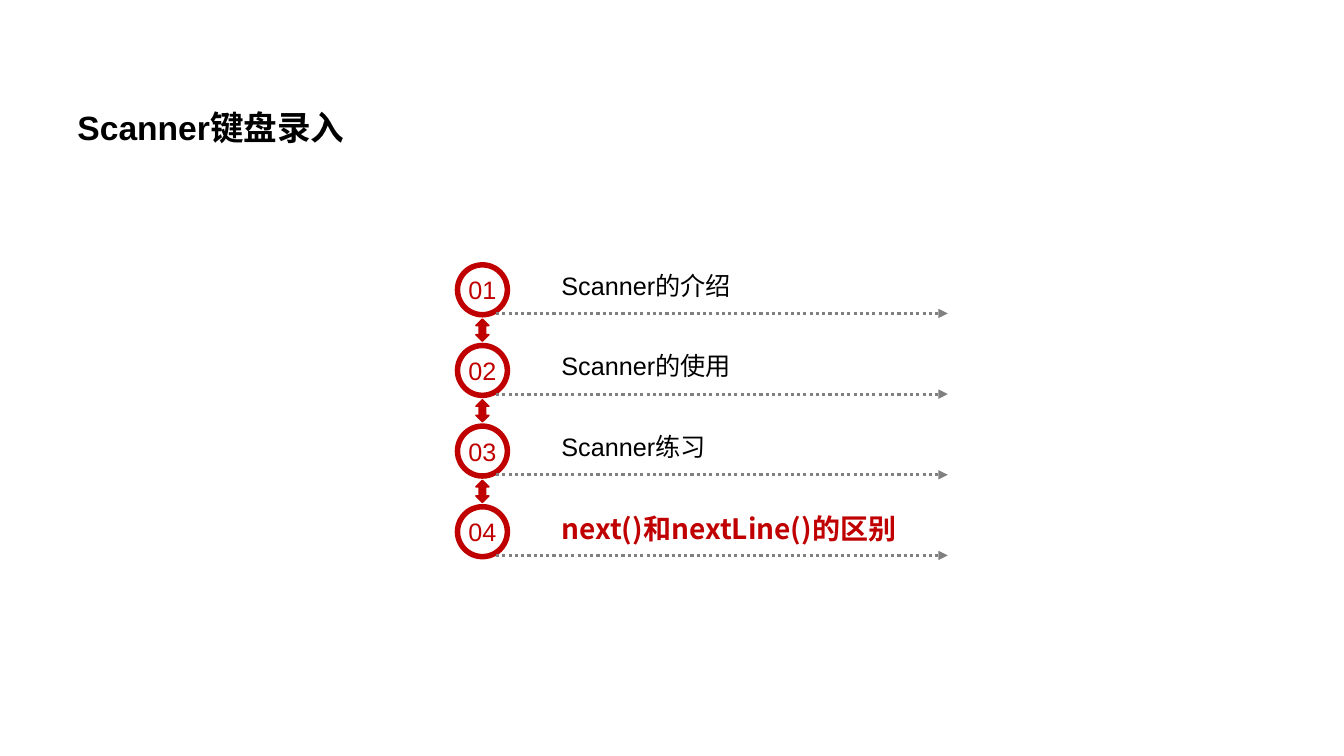
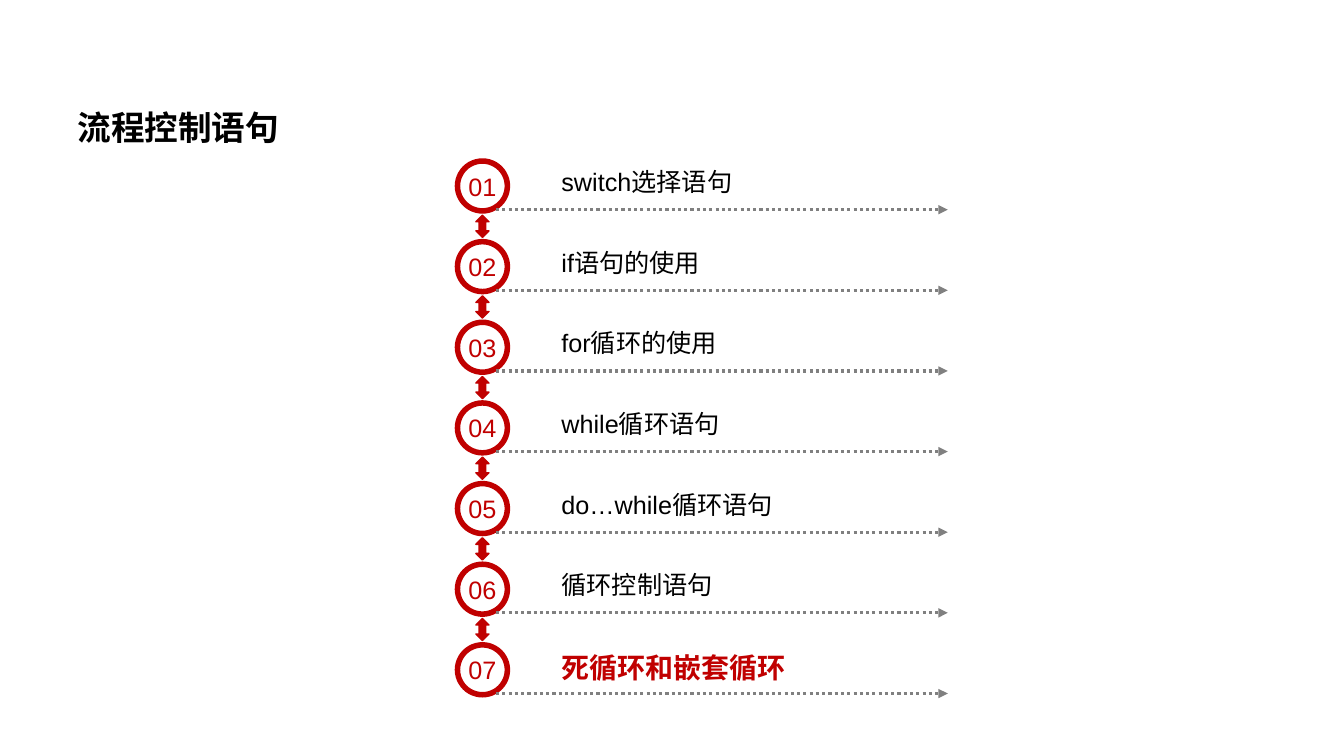
from lxml import etree
from pptx import Presentation
from pptx.dml.color import RGBColor
from pptx.enum.dml import MSO_LINE
from pptx.enum.shapes import MSO_CONNECTOR, MSO_SHAPE
from pptx.enum.text import MSO_ANCHOR, PP_ALIGN
from pptx.oxml.ns import qn
from pptx.util import Inches, Pt

RED = RGBColor(0xC0, 0x00, 0x00)
GREY = RGBColor(0x80, 0x80, 0x80)
BLACK = RGBColor(0x00, 0x00, 0x00)
LATIN_FONT = "Arial"
CHINESE_FONT = "Noto Sans CJK SC"

# Agenda grid, in inches
RING_LEFT = 4.51
RING_SIZE = 0.55
ROW_PITCH = 0.8
LABEL_LEFT = 5.47
LABEL_WIDTH = 3.96
RULE_LEFT, RULE_RIGHT = 4.92, 9.4

AGENDAS = [
    ("Scanner键盘录入", 2.6,
     ["Scanner的介绍", "Scanner的使用", "Scanner练习",
      "next()和nextLine()的区别"]),
    ("流程控制语句", 1.57,
     ["switch选择语句", "if语句的使用", "for循环的使用", "while循环语句",
      "do…while循环语句", "循环控制语句", "死循环和嵌套循环"]),
]


def write(frame, text, size, color, bold=False, font_name=LATIN_FONT):
    """Fill a text frame with one paragraph in one style."""
    paragraph = frame.paragraphs[0]
    paragraph.text = text
    font = paragraph.font
    font.size = Pt(size)
    font.bold = bold
    font.color.rgb = color
    font.name = font_name
    east_asian = etree.SubElement(paragraph._p.pPr.find(qn("a:defRPr")), qn("a:ea"))
    east_asian.set("typeface", CHINESE_FONT)
    return paragraph


def add_text(slide, left, top, width, height, text, size, color, **style):
    frame = slide.shapes.add_textbox(
        Inches(left), Inches(top), Inches(width), Inches(height)).text_frame
    frame.word_wrap = True
    write(frame, text, size, color, **style)
    return frame


def add_red_shape(slide, preset, left, top, width, height):
    shape = slide.shapes.add_shape(
        preset, Inches(left), Inches(top), Inches(width), Inches(height))
    shape.shadow.inherit = False
    shape.fill.solid()
    shape.fill.fore_color.rgb = RED
    return shape


def add_title(slide, title):
    frame = add_text(slide, 0.67, 1, 11.74, 0.52, title, 24, BLACK, bold=True)
    frame.vertical_anchor = MSO_ANCHOR.MIDDLE


def add_number_ring(slide, top, number):
    ring = add_red_shape(slide, MSO_SHAPE.DONUT, RING_LEFT, top, RING_SIZE, RING_SIZE)
    ring.adjustments[0] = 0.1
    ring.line.fill.background()
    frame = ring.text_frame
    frame.margin_left = frame.margin_right = 0
    frame.margin_top = frame.margin_bottom = 0
    frame.vertical_anchor = MSO_ANCHOR.MIDDLE
    frame.word_wrap = False
    write(frame, f"{number:02d}", 18, RED).alignment = PP_ALIGN.CENTER


def add_link_arrow(slide, ring_top):
    """Place a double arrow in the gap below a ring."""
    width, height = 0.13, 0.22
    arrow = add_red_shape(
        slide, MSO_SHAPE.UP_DOWN_ARROW, RING_LEFT + (RING_SIZE - width) / 2,
        ring_top + (RING_SIZE + ROW_PITCH - height) / 2, width, height)
    arrow.line.color.rgb = RED
    arrow.line.width = Pt(1)


def add_dotted_rule(slide, y):
    rule = slide.shapes.add_connector(
        MSO_CONNECTOR.STRAIGHT, Inches(RULE_LEFT), Inches(y), Inches(RULE_RIGHT), Inches(y))
    rule.line.color.rgb = GREY
    rule.line.width = Pt(2.25)
    rule.line.dash_style = MSO_LINE.ROUND_DOT
    etree.SubElement(rule.line._get_or_add_ln(), qn("a:tailEnd")).set("type", "triangle")
    etree.SubElement(rule._element.spPr, qn("a:effectLst"))


def add_agenda(slide, top, topics):
    """List the topics downwards, with the last one highlighted."""
    for row, topic in enumerate(topics):
        row_top = top + row * ROW_PITCH
        add_number_ring(slide, row_top, row + 1)
        add_dotted_rule(slide, row_top + 0.51)
        label_box = (LABEL_LEFT, row_top + 0.03, LABEL_WIDTH, 0.42)
        if row == len(topics) - 1:
            add_text(slide, *label_box, topic, 20, RED, bold=True, font_name=CHINESE_FONT)
        else:
            add_text(slide, *label_box, topic, 18, BLACK)
            add_link_arrow(slide, row_top)


def main():
    deck = Presentation()
    deck.slide_width, deck.slide_height = Inches(13.33), Inches(7.5)
    for title, top, topics in AGENDAS:
        slide = deck.slides.add_slide(deck.slide_layouts[6])
        add_title(slide, title)
        add_agenda(slide, top, topics)
    deck.save("out.pptx")


if __name__ == "__main__":
    main()
